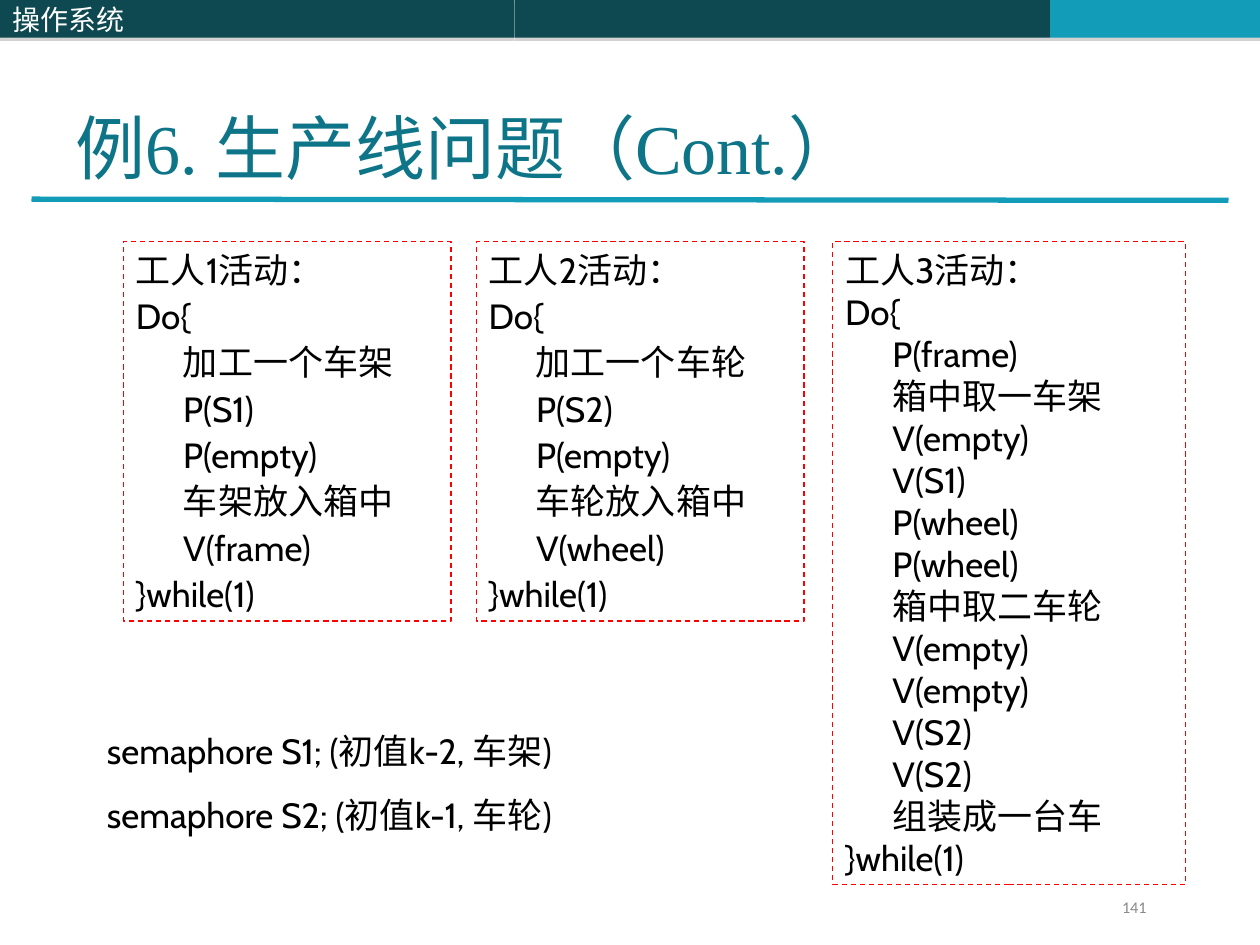
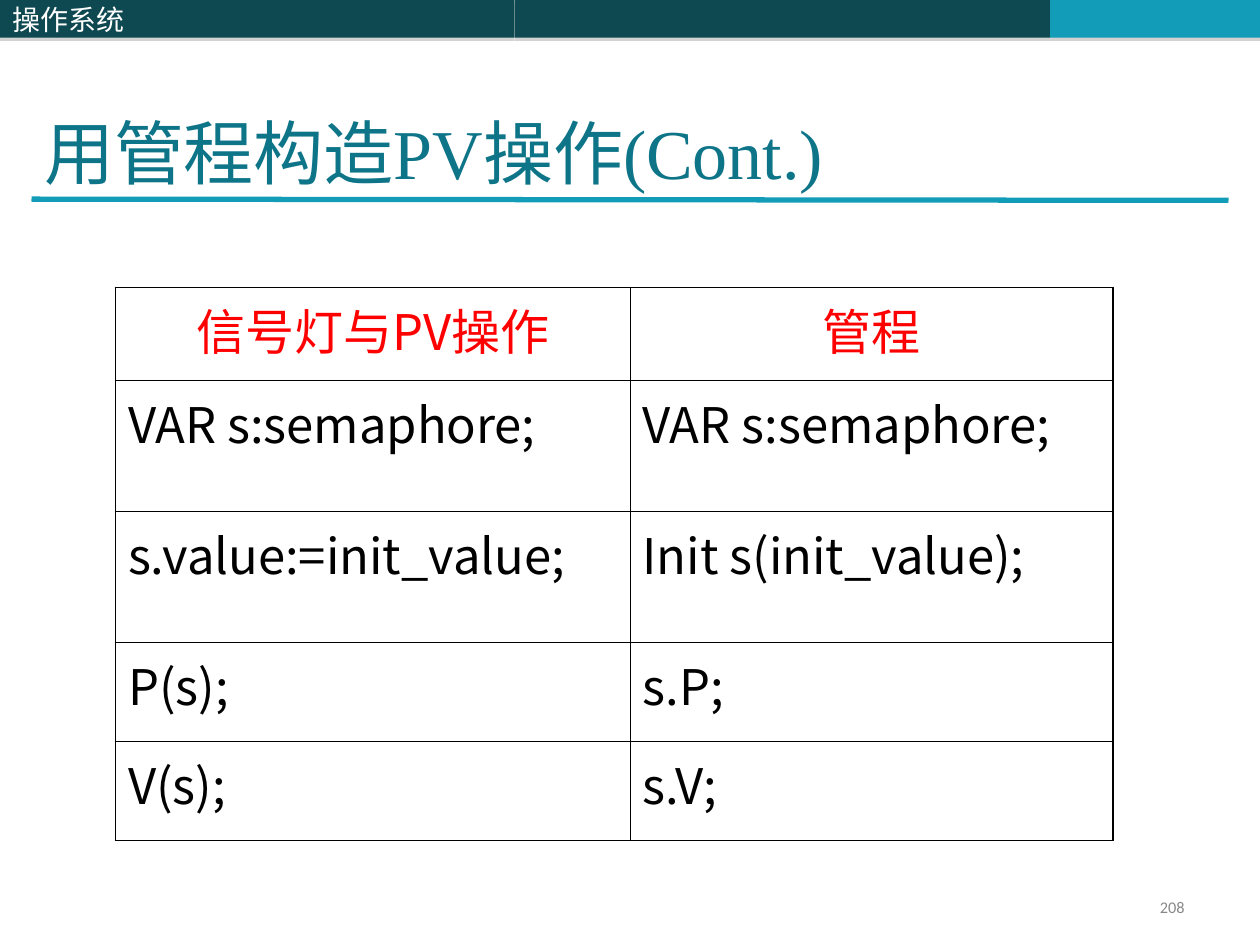
from dataclasses import dataclass
from lxml.etree import SubElement
from pptx import Presentation
from pptx.dml.color import RGBColor
from pptx.enum.dml import MSO_LINE
from pptx.enum.shapes import MSO_CONNECTOR, MSO_SHAPE
from pptx.enum.text import MSO_ANCHOR, MSO_AUTO_SIZE, PP_ALIGN
from pptx.oxml import parse_xml
from pptx.oxml.ns import nsdecls, qn
from pptx.util import Pt

COURSE = "操作系统"
LINE_TITLE = "例6. 生产线问题（Cont.）"
PV_TITLE = "用管程构造PV操作(Cont.)"

# heading, steps, left, width, height, space between lines
WORKERS = [
    ("工人1活动：",
     ["加工一个车架", "P(S1)", "P(empty)", "车架放入箱中", "V(frame)"],
     70.6, 187.2, 216.7, 2.5),
    ("工人2活动：",
     ["加工一个车轮", "P(S2)", "P(empty)", "车轮放入箱中", "V(wheel)"],
     272.2, 187.2, 216.7, 2.5),
    ("工人3活动：",
     ["P(frame)", "箱中取一车架", "V(empty)", "V(S1)", "P(wheel)",
      "P(wheel)", "箱中取二车轮", "V(empty)", "V(empty)", "V(S2)",
      "V(S2)", "组装成一台车"],
     475.9, 201.6, 367.2, 0),
]
SIGNALS = ["semaphore S1; (初值k-2, 车架)", "semaphore S2; (初值k-1, 车轮)"]

PAIRS = [
    ("信号灯与PV操作", "管程"),
    ("VAR s:semaphore;", "VAR s:semaphore;"),
    ("s.value:=init_value;", "Init s(init_value);"),
    ("P(s);", "s.P;"),
    ("V(s);", "s.V;"),
]
COLS = [294, 276]
ROWS = [53.3, 74.8, 74.8, 56.6, 56.6]


@dataclass(frozen=True)
class Style:
    font: str
    size: float
    color: str


class Theme:
    dark, teal, red, black = "0E4851", "139CB7", "FF0000", "000000"
    cjk = "Noto Sans CJK SC"
    title = Style("Times New Roman", 40, "0E7589")
    band = Style(cjk, 16, "FFFFFF")
    code = Style("Cabin", 20, black)
    head = Style(cjk, 28, red)
    cell = Style(cjk, 28, black)
    page = Style("Calibri", 9.3, "898989")
    thick, thin = 1.08, 0.45


def rgb(code):
    return RGBColor.from_string(code)


def write(frame, lines, style, gap=0, align=PP_ALIGN.LEFT, anchor=MSO_ANCHOR.TOP):
    frame.text = "\n".join(lines)
    frame.word_wrap = True
    frame.vertical_anchor = anchor
    for i, para in enumerate(frame.paragraphs):
        para.alignment = align
        para.space_before = Pt(gap if i else 0)
        for run in para.runs:
            font = run.font
            font.name, font.size = style.font, Pt(style.size)
            font.color.rgb = rgb(style.color)
            SubElement(font._element, qn("a:ea"), typeface=Theme.cjk)


def box(slide, x, y, w, h):
    shape = slide.shapes.add_shape(MSO_SHAPE.RECTANGLE, Pt(x), Pt(y), Pt(w), Pt(h))
    shape.shadow.inherit = False
    return shape


def note(slide, x, y, w, h):
    return slide.shapes.add_textbox(Pt(x), Pt(y), Pt(w), Pt(h)).text_frame


def bar(slide, x, w, color):
    """Part of the top band, with a soft edge below it."""
    shape = box(slide, x, 0, w, 21.6)
    shape.fill.solid()
    shape.fill.fore_color.rgb = rgb(color)
    shape.line.fill.background()
    shape.element.spPr.find(qn("a:effectLst")).append(parse_xml(
        f'<a:outerShdw {nsdecls("a")} blurRad="0" dist="{Pt(1.8)}" dir="5400000">'
        '<a:srgbClr val="808080"><a:alpha val="35000"/></a:srgbClr></a:outerShdw>'))
    return shape


def dress(layout, slide):
    """Draw the shared band and rule, then hand them to the layout."""
    parts = [bar(slide, 294, 306, Theme.dark), bar(slide, 600, 120, Theme.teal)]
    rule = slide.shapes.add_connector(
        MSO_CONNECTOR.STRAIGHT, Pt(18), Pt(113.8), Pt(702), Pt(114.5))
    rule.line.color.rgb = rgb(Theme.teal)
    rule.line.width = Pt(3)
    SubElement(rule.element.spPr, qn("a:effectLst"))
    name = bar(slide, 0, 294, Theme.dark)
    write(name.text_frame, [COURSE], Theme.band, anchor=MSO_ANCHOR.MIDDLE)
    for part in parts + [rule, name]:
        layout.shapes.element.append(part.element)


def head(slide, text, x, y, w, h):
    title = slide.shapes.title
    title.left, title.top, title.width, title.height = Pt(x), Pt(y), Pt(w), Pt(h)
    write(title.text_frame, [text], Theme.title, anchor=MSO_ANCHOR.BOTTOM)
    title.text_frame.auto_size = MSO_AUTO_SIZE.NONE


def page(slide, text, x, y, **place):
    frame = note(slide, x, y, 167.8, 19.4)
    write(frame, [text], Theme.page, **place)
    frame.paragraphs[0].line_spacing = 0.8
    return frame


def worker(slide, name, steps, x, w, h, gap):
    shape = box(slide, x, 138.2, w, h)
    shape.fill.background()
    shape.line.color.rgb = rgb(Theme.red)
    shape.line.width = Pt(0.75)
    shape.line.dash_style = MSO_LINE.DASH
    body = [" " * 6 + step for step in steps]
    write(shape.text_frame, [name, "Do{", *body, "}while(1)"], Theme.code, gap)


def edge(cell, outer):
    """Rule the four sides of a cell, thick where a side is on the outside."""
    props = cell._tc.get_or_add_tcPr()
    for i, (side, out) in enumerate(outer.items()):
        wide = Pt(Theme.thick if out else Theme.thin)
        props.insert(i, parse_xml(
            f'<a:ln{side} {nsdecls("a")} w="{wide}"><a:solidFill>'
            f'<a:srgbClr val="{Theme.black}"/></a:solidFill></a:ln{side}>'))


def grid(slide):
    table = slide.shapes.add_table(
        len(ROWS), len(COLS), Pt(66), Pt(164.2), Pt(sum(COLS)), Pt(sum(ROWS))).table
    table.first_row = table.horz_banding = False
    for col, wide in zip(table.columns, COLS):
        col.width = Pt(wide)
    for r, (row, tall) in enumerate(zip(table.rows, ROWS)):
        row.height = Pt(tall)
        for c, cell in enumerate(row.cells):
            cell.fill.background()
            edge(cell, {"L": c == 0, "R": c == len(COLS) - 1,
                        "T": r == 0, "B": r == len(ROWS) - 1})
            style, align = ((Theme.cell, PP_ALIGN.LEFT) if r
                            else (Theme.head, PP_ALIGN.CENTER))
            write(cell.text_frame, [PAIRS[r][c]], style, align=align)


def main():
    deck = Presentation()
    deck.slide_width, deck.slide_height = Pt(720), Pt(540)
    layout = deck.slide_layouts[5]

    line = deck.slides.add_slide(layout)
    dress(layout, line)
    head(line, LINE_TITLE, 36, 21.6, 648, 90)
    for job in WORKERS:
        worker(line, *job)
    write(note(line, 54, 413.3, 362.9, 67.7), SIGNALS, Theme.code, 12.5)
    num = page(line, "141", 540, 511.2)
    num.margin_left = Pt(101.2)

    pv = deck.slides.add_slide(layout)
    head(pv, PV_TITLE, 18, 30.2, 613.4, 84.2)
    grid(pv)
    page(pv, "208", 516.2, 509.8, align=PP_ALIGN.RIGHT, anchor=MSO_ANCHOR.MIDDLE)

    deck.save("out.pptx")


if __name__ == "__main__":
    main()
